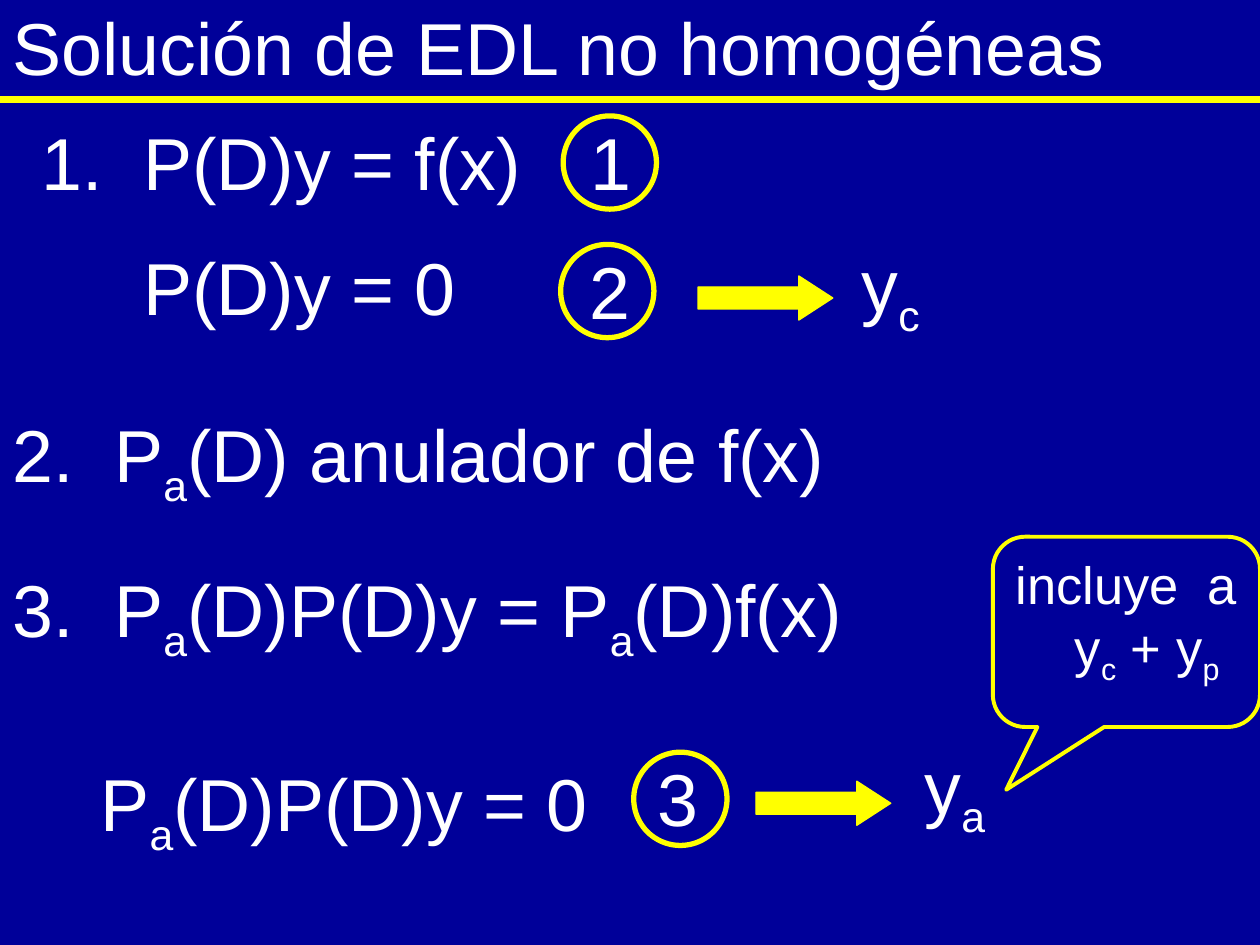
import pptx
import pptx.dml.color
import pptx.enum.shapes
import pptx.enum.text
import pptx.oxml.ns
import pptx.util
from lxml import etree

Inches = pptx.util.Inches
Pt = pptx.util.Pt
qn = pptx.oxml.ns.qn
SHAPES = pptx.enum.shapes.MSO_SHAPE
COLORS = {
    name: pptx.dml.color.RGBColor.from_string(value)
    for name, value in {"navy": "000099", "yellow": "FFFF00", "white": "FFFFFF"}.items()
}


def write(paragraph, text, size=42, number=None, indent=0, spaced=True):
    """Write text in which "_" makes the next character a subscript."""
    for position, piece in enumerate(text.split("_")):
        parts = [(piece, False)] if position == 0 else [(piece[0], True), (piece[1:], False)]
        for content, subscript in parts:
            if not content:
                continue
            run = paragraph.add_run()
            run.text = content
            for key, value in {"name": "Arial", "size": Pt(size)}.items():
                setattr(run.font, key, value)
            run.font.color.rgb = COLORS["white"]
            if subscript:
                run.font._element.set("baseline", "-25000")
    properties = paragraph._p.get_or_add_pPr()
    if indent:
        properties.set("marL", str(Inches(indent)))
    if spaced:
        before = etree.SubElement(properties, qn("a:spcBef"))
        etree.SubElement(before, qn("a:spcPct"), val="50000")
    if number:
        properties.set("indent", str(-Inches(indent)))
        etree.SubElement(properties, qn("a:buAutoNum"), type="arabicPeriod", startAt=str(number))


def add_outline(kind, left, top, width, height, weight, filled=False):
    shape = slide.shapes.add_shape(kind, Inches(left), Inches(top), Inches(width), Inches(height))
    shape.shadow.inherit = False
    if filled:
        shape.fill.solid()
        shape.fill.fore_color.rgb = COLORS["yellow"]
    else:
        shape.fill.background()
    shape.line.color.rgb = COLORS["yellow"]
    shape.line.width = Pt(weight)
    return shape


presentation = pptx.Presentation()
presentation.slide_width, presentation.slide_height = Inches(10), Inches(7.5)
slide = presentation.slides.add_slide(presentation.slide_layouts[6])
slide.background.fill.solid()
slide.background.fill.fore_color.rgb = COLORS["navy"]

# Title and rule
title = slide.shapes.add_textbox(0, Inches(-0.05), Inches(9.46), Inches(0.84)).text_frame
title_format = {"word_wrap": True, "vertical_anchor": pptx.enum.text.MSO_ANCHOR.MIDDLE}
for key, value in title_format.items():
    setattr(title, key, value)
write(title.paragraphs[0], "Solución de EDL no homogéneas", spaced=False)

rule = slide.shapes.add_connector(
    pptx.enum.shapes.MSO_CONNECTOR.STRAIGHT, 0, Inches(0.79), Inches(10), Inches(0.79))
rule.line.color.rgb = COLORS["yellow"]
rule.line.width = Pt(4.5)
etree.SubElement(rule._element.spPr, qn("a:effectLst"))

# Circles around the equation numbers
for left, top in [(4.47, 0.92), (4.45, 1.94), (5.03, 5.97)]:
    add_outline(SHAPES.OVAL, left, top, 0.74, 0.74, 3)

# Arrows to the solutions
for left, top in [(5.54, 2.19), (6, 6.2)]:
    arrow = add_outline(SHAPES.RIGHT_ARROW, left, top, 1.07, 0.35, 0.75, filled=True)
    arrow.adjustments[0], arrow.adjustments[1] = 0.5, 0.77

# Steps, equation numbers and solutions: box, then (text, step number, indent)
STEP = 0.81
statements = [
    ((0.23, 0.88, 5.79, 1.87), [("P(D)y = f(x)", 1, STEP), ("P(D)y = 0", None, STEP)]),
    ((0, 3.2, 7.22, 0.81), [("P_a(D) anulador de f(x)", 2, STEP)]),
    ((0, 4.43, 7.17, 0.81), [("P_a(D)P(D)y = P_a(D)f(x)", 3, STEP)]),
    ((0.7, 5.97, 5.28, 0.81), [("P_a(D)P(D)y = 0", None, 0)]),
    ((4.59, 0.88, 0.58, 0.81), [("1", None, 0)]),
    ((4.58, 1.9, 0.7, 0.83), [("2", None, 0)]),
    ((5.12, 5.93, 0.7, 0.83), [("3", None, 0)]),
    ((6.74, 1.85, 0.96, 0.83), [("y_c", None, 0)]),
    ((7.24, 5.83, 0.96, 0.83), [("y_a", None, 0)]),
]
frame_format = {"word_wrap": True, "auto_size": pptx.enum.text.MSO_AUTO_SIZE.SHAPE_TO_FIT_TEXT}
for box, lines in statements:
    statement = slide.shapes.add_textbox(*map(Inches, box)).text_frame
    for key, value in frame_format.items():
        setattr(statement, key, value)
    for index, (text, number, indent) in enumerate(lines):
        paragraph = statement.add_paragraph() if index else statement.paragraphs[0]
        write(paragraph, text, number=number, indent=indent)

# Callout on the general solution
callout = add_outline(SHAPES.ROUNDED_RECTANGULAR_CALLOUT, 7.88, 4.26, 2.12, 1.51, 2.25)
for index, value in enumerate([-0.45, 0.83, 0.17]):
    callout.adjustments[index] = value
note = callout.text_frame
note.word_wrap = True
note.vertical_anchor = pptx.enum.text.MSO_ANCHOR.TOP
for index, (text, indent) in enumerate([("incluye  a", 0), ("y_c + y_p", 0.33)]):
    paragraph = note.add_paragraph() if index else note.paragraphs[0]
    paragraph.alignment = pptx.enum.text.PP_ALIGN.CENTER
    write(paragraph, text, size=30, indent=indent, spaced=index == 0)

presentation.save("out.pptx")
